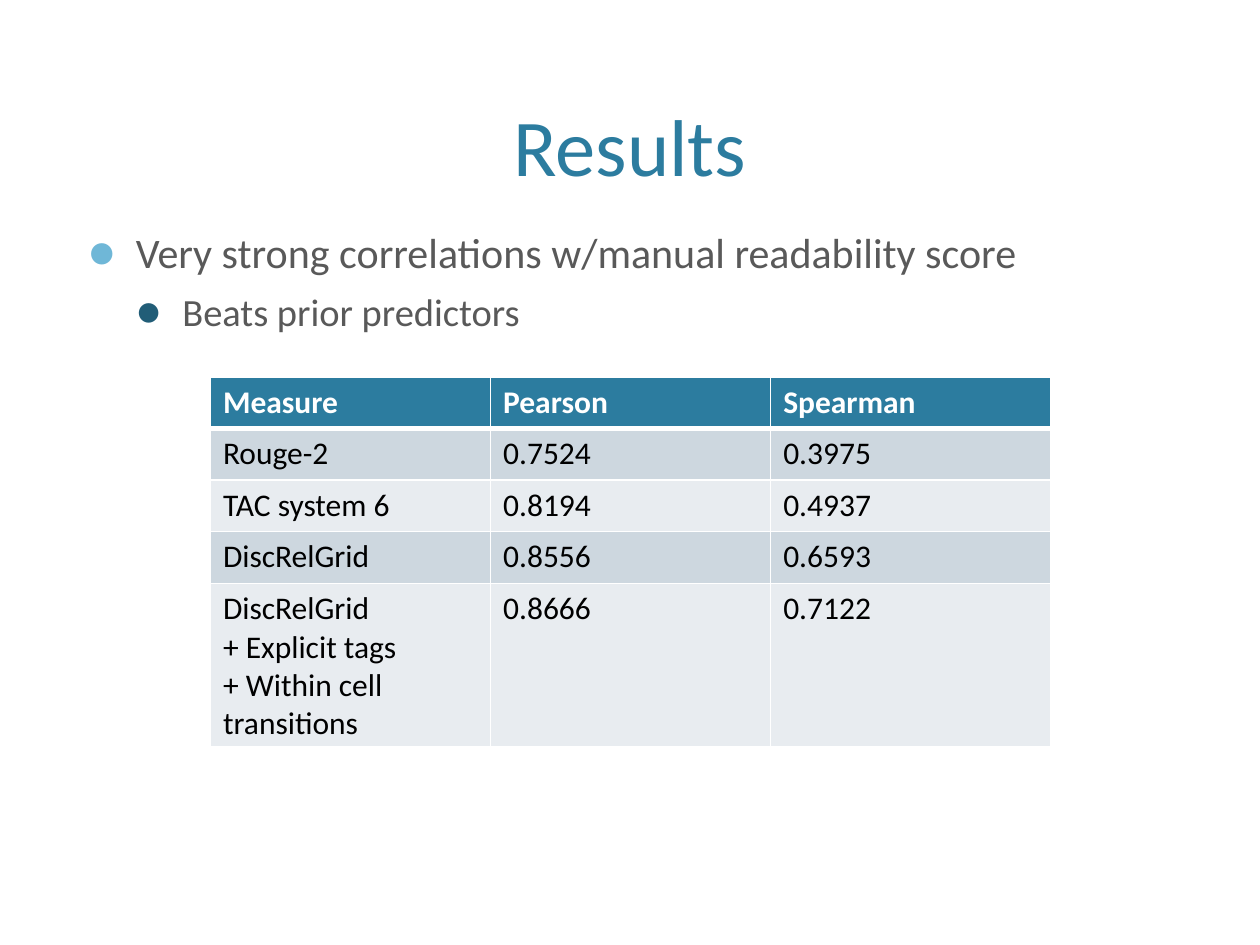
import dataclasses

import lxml.etree
import pptx
import pptx.dml.color
import pptx.enum.text
import pptx.oxml.ns
import pptx.util

Inches = pptx.util.Inches
Pt = pptx.util.Pt
qn = pptx.oxml.ns.qn


@dataclasses.dataclass(frozen=True)
class Theme:
    """Font, colours and type sizes of the slide."""
    font: str = "Calibri"
    accent: str = "2C7C9F"
    body: str = "595959"
    white: str = "FFFFFF"
    black: str = "000000"
    bands: tuple = ("CDD7DF", "E8ECF0")
    bullets: tuple = ("6FB7D7", "215D77")
    title_size: int = 46
    point_sizes: tuple = (24, 22)
    table_size: int = 18


THEME = Theme()
POINTS = [
    # text, level, indent, hanging, space before
    ("Very strong correlations w/manual readability score", 0, 0.38, 0.38, 20),
    ("Beats prior predictors", 1, 0.75, 0.37, 6),
]
RESULTS = [
    ("Measure", "Pearson", "Spearman"),
    ("Rouge-2", "0.7524", "0.3975"),
    ("TAC system 6", "0.8194", "0.4937"),
    ("DiscRelGrid", "0.8556", "0.6593"),
    ("DiscRelGrid\n+ Explicit tags\n+ Within cell\ntransitions", "0.8666", "0.7122"),
]


def rgb(colour):
    """Return an RGB colour from its hex code."""
    return pptx.dml.color.RGBColor.from_string(colour)


def add_run(paragraph, text, size, colour, bold=False):
    """Add one formatted run to a paragraph."""
    run = paragraph.add_run()
    run.text = text
    run.font.name = THEME.font
    run.font.size = Pt(size)
    run.font.bold = bold
    run.font.color.rgb = rgb(colour)


def add_title(slide, text):
    """Place and fill the title placeholder."""
    title = slide.shapes.title
    title.left, title.top = Inches(0.6), Inches(0.12)
    title.width, title.height = Inches(8.8), Inches(1.46)
    frame = title.text_frame
    frame.vertical_anchor = pptx.enum.text.MSO_ANCHOR.BOTTOM
    paragraph = frame.paragraphs[0]
    paragraph.alignment = pptx.enum.text.PP_ALIGN.CENTER
    add_run(paragraph, text, THEME.title_size, THEME.accent)


def set_bullet(paragraph, colour, indent, hanging):
    """Give a paragraph a round coloured bullet and a hanging indent."""
    properties = paragraph._p.get_or_add_pPr()
    properties.set("marL", str(Inches(indent)))
    properties.set("indent", str(-Inches(hanging)))
    bullet_colour = lxml.etree.SubElement(properties, qn("a:buClr"))
    lxml.etree.SubElement(bullet_colour, qn("a:srgbClr"), val=colour)
    lxml.etree.SubElement(properties, qn("a:buSzPct"), val="110000")
    lxml.etree.SubElement(properties, qn("a:buFont"), typeface=THEME.font)
    lxml.etree.SubElement(properties, qn("a:buChar"), char="\u25cf")


def add_points(slide, points):
    """Add the bulleted findings."""
    findings = slide.shapes.add_textbox(
        Inches(0.6), Inches(1.75), Inches(8.8), Inches(4.75))
    frame = findings.text_frame
    frame.word_wrap = True
    for index, (text, level, indent, hanging, before) in enumerate(points):
        paragraph = frame.add_paragraph() if index else frame.paragraphs[0]
        paragraph.level = level
        paragraph.space_before = Pt(before)
        set_bullet(paragraph, THEME.bullets[level], indent, hanging)
        add_run(paragraph, text, THEME.point_sizes[level], THEME.body)


def set_borders(cell, widths):
    """Draw white cell borders; widths maps each side to points."""
    properties = cell._tc.get_or_add_tcPr()
    for position, side in enumerate("LRTB"):
        line = lxml.etree.Element(qn(f"a:ln{side}"), w=str(Pt(widths[side])))
        fill = lxml.etree.SubElement(line, qn("a:solidFill"))
        lxml.etree.SubElement(fill, qn("a:srgbClr"), val=THEME.white)
        properties.insert(position, line)


def fill_cell(cell, text, row):
    """Write and style one cell by its row."""
    header = row == 0
    cell.fill.solid()
    cell.fill.fore_color.rgb = rgb(
        THEME.accent if header else THEME.bands[(row - 1) % 2])
    set_borders(cell, {"L": 1, "R": 1, "T": 3 if row == 1 else 1,
                       "B": 3 if header else 1})
    frame = cell.text_frame
    for index, line in enumerate(text.split("\n")):
        paragraph = frame.add_paragraph() if index else frame.paragraphs[0]
        add_run(paragraph, line, THEME.table_size,
                THEME.white if header else THEME.black, header)


def add_results_table(slide, rows):
    """Add the table of correlations."""
    table = slide.shapes.add_table(
        len(rows), len(rows[0]), Inches(1.67), Inches(2.99),
        Inches(6.67), Inches(0.41 * len(rows))).table
    table.horz_banding = False
    for row, texts in enumerate(rows):
        table.rows[row].height = Inches(0.41)
        for column, text in enumerate(texts):
            fill_cell(table.cell(row, column), text, row)


def main():
    """Build and save the slide."""
    deck = pptx.Presentation()
    deck.slide_width, deck.slide_height = Inches(10), Inches(7.5)
    slide = deck.slides.add_slide(deck.slide_layouts[5])
    add_title(slide, "Results")
    add_points(slide, POINTS)
    add_results_table(slide, RESULTS)
    deck.save("out.pptx")


main()
